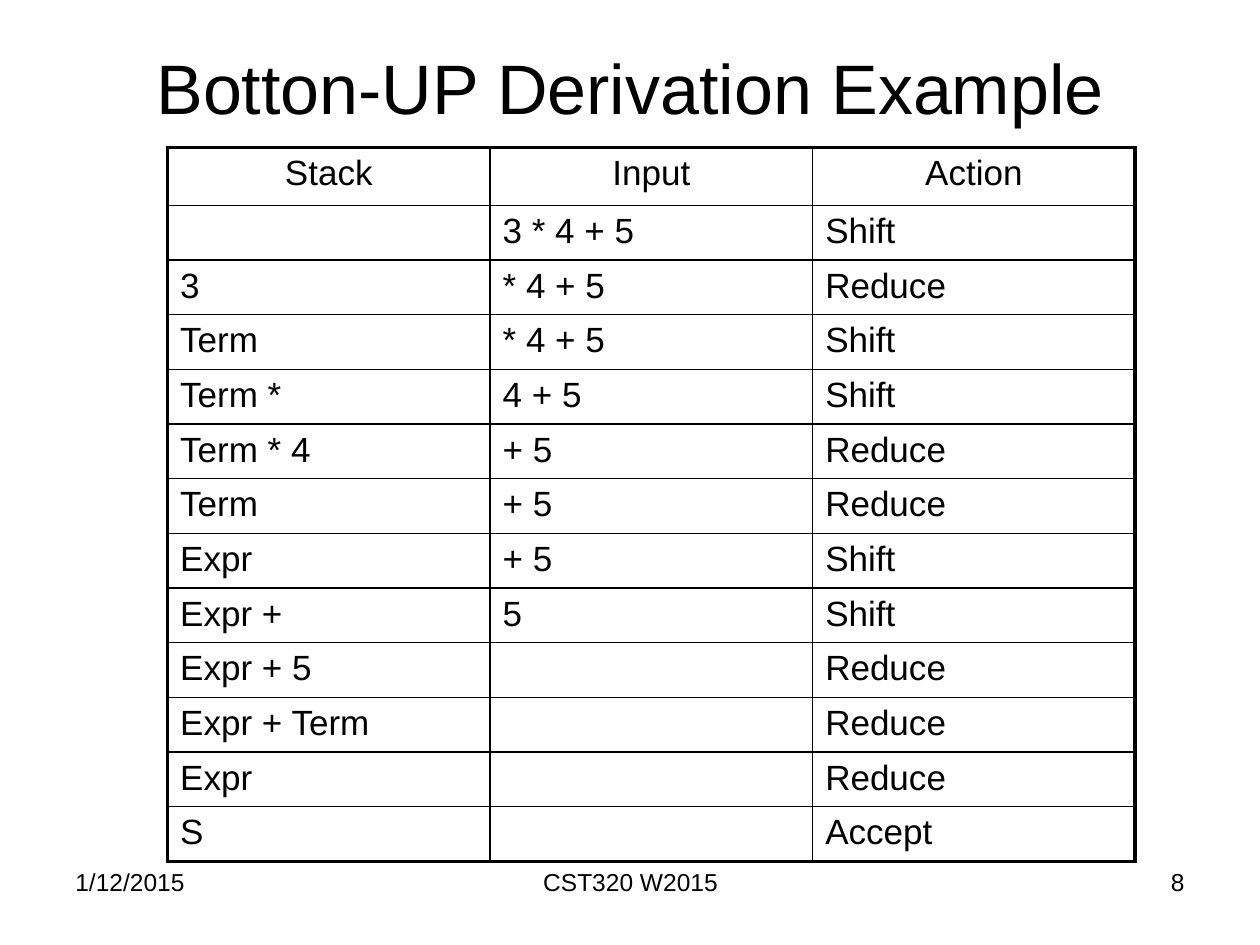
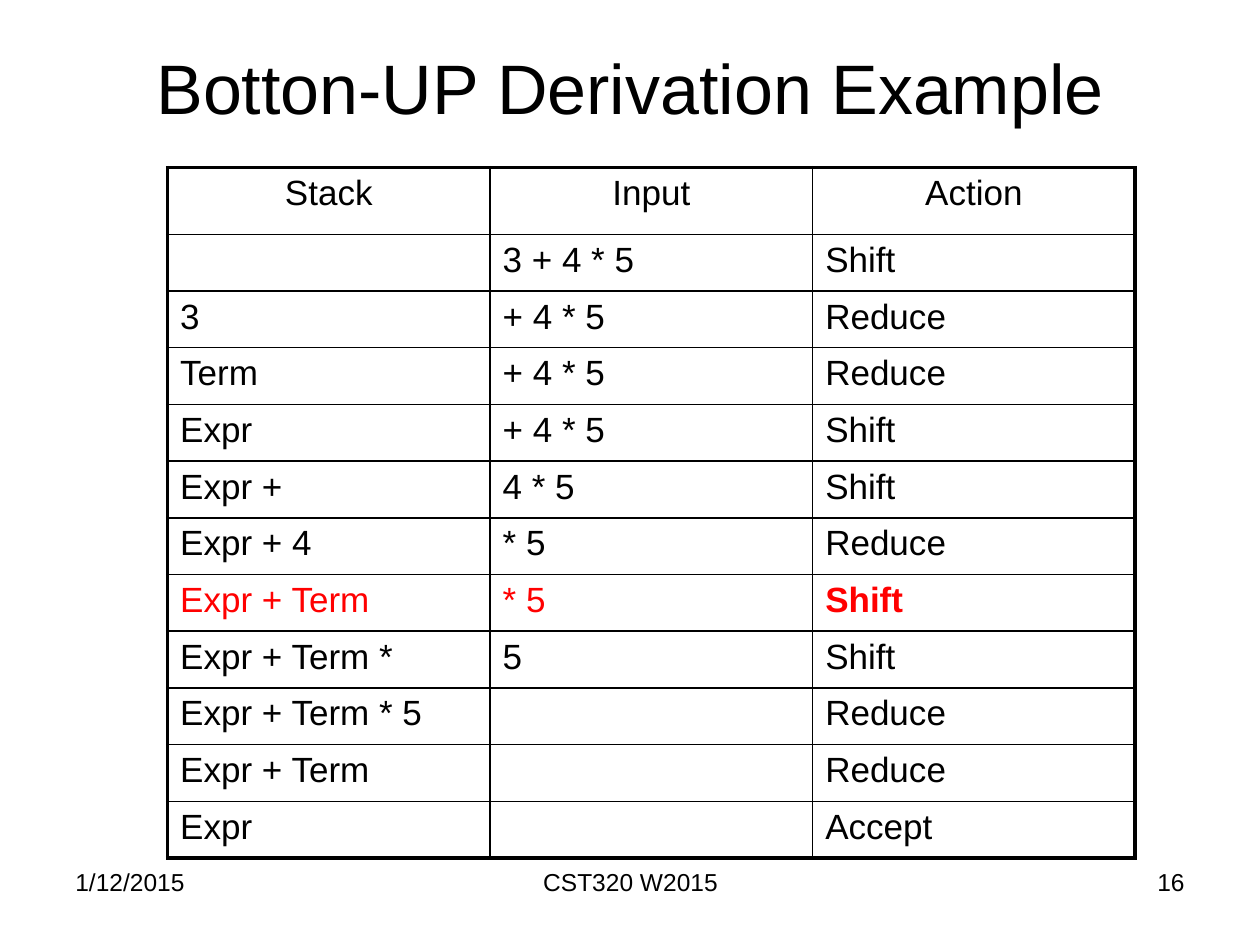
import pptx
import pptx.util
import pptx.dml.color
import pptx.enum.text
import pptx.oxml
import pptx.oxml.ns
from lxml import etree

Inches, Pt = pptx.util.Inches, pptx.util.Pt
ALIGN = pptx.enum.text.PP_ALIGN
ANCHOR = pptx.enum.text.MSO_ANCHOR

COLORS = {"ink": "000000", "alert": "FF0000"}
FONT = "Arial"
TITLE = "Botton-UP Derivation Example"
HEADINGS = ("Stack", "Input", "Action")
DATE, COURSE = "1/12/2015", "CST320 W2015"
TABLE_LEFT, COLUMN_WIDTH = 1.33, 2.56
THICK, THIN = 2.25, 1

DERIVATIONS = [
    {
        "number": "8", "top": 1.17, "heading_height": 0.46, "row_height": 0.41,
        "conflict": None,
        "steps": [
            ("", "3 * 4 + 5", "Shift"),
            ("3", "* 4 + 5", "Reduce"),
            ("Term", "* 4 + 5", "Shift"),
            ("Term *", "4 + 5", "Shift"),
            ("Term * 4", "+ 5", "Reduce"),
            ("Term", "+ 5", "Reduce"),
            ("Expr", "+ 5", "Shift"),
            ("Expr +", "5", "Shift"),
            ("Expr + 5", "", "Reduce"),
            ("Expr + Term", "", "Reduce"),
            ("Expr", "", "Reduce"),
            ("S", "", "Accept"),
        ],
    },
    {
        "number": "16", "top": 1.33, "heading_height": 0.53, "row_height": 0.45,
        "conflict": 7,
        "steps": [
            ("", "3 + 4 * 5", "Shift"),
            ("3", "+ 4 * 5", "Reduce"),
            ("Term", "+ 4 * 5", "Reduce"),
            ("Expr", "+ 4 * 5", "Shift"),
            ("Expr +", "4 * 5", "Shift"),
            ("Expr + 4", "* 5", "Reduce"),
            ("Expr + Term", "* 5", "Shift"),
            ("Expr + Term *", "5", "Shift"),
            ("Expr + Term * 5", "", "Reduce"),
            ("Expr + Term", "", "Reduce"),
            ("Expr", "", "Accept"),
        ],
    },
]


def write(frame, text, size, align, color="ink", bold=False):
    para = frame.paragraphs[0]
    para.alignment = align
    span = para.add_run()
    span.text = text
    for name, value in {"name": FONT, "size": Pt(size), "bold": bold}.items():
        setattr(span.font, name, value)
    span.font.color.rgb = pptx.dml.color.RGBColor.from_string(COLORS[color])
    return para


def add_title(page):
    title = page.shapes.title
    place = {"left": 0.5, "top": 0.3, "width": 9, "height": 0.78}
    for name, value in place.items():
        setattr(title, name, Inches(value))
    title.text_frame.vertical_anchor = ANCHOR.MIDDLE
    write(title.text_frame, TITLE, 40, ALIGN.CENTER)


def add_footers(page, number):
    footers = [
        (0.5, 2.33, DATE, ALIGN.LEFT),
        (3.42, 3.17, COURSE, ALIGN.CENTER),
        (7.17, 2.33, number, ALIGN.RIGHT),
    ]
    for left, width, text, align in footers:
        box = page.shapes.add_textbox(Inches(left), Inches(6.83), Inches(width), Inches(0.52))
        box.text_frame.word_wrap = True
        write(box.text_frame, text, 14, align)


def draw_borders(cell, outer):
    properties = cell._tc.get_or_add_tcPr()
    for side in "LRTB":
        width = Pt(THICK if side in outer else THIN)
        properties.append(pptx.oxml.parse_xml(
            f'<a:ln{side} {pptx.oxml.ns.nsdecls("a")} w="{width}"><a:solidFill>'
            f'<a:srgbClr val="{COLORS["ink"]}"/></a:solidFill></a:ln{side}>'))


def space_before(para, percent):
    properties = para._p.get_or_add_pPr()
    spacing = etree.SubElement(properties, pptx.oxml.ns.qn("a:spcBef"))
    etree.SubElement(spacing, pptx.oxml.ns.qn("a:spcPct")).set("val", str(percent * 1000))


def add_derivation(page, derivation):
    rows = [HEADINGS] + derivation["steps"]
    heights = [derivation["heading_height"]] + [derivation["row_height"]] * len(derivation["steps"])
    last_row, last_column = len(rows) - 1, len(HEADINGS) - 1
    table = page.shapes.add_table(
        len(rows), len(HEADINGS), Inches(TABLE_LEFT), Inches(derivation["top"]),
        Inches(COLUMN_WIDTH * len(HEADINGS)), Inches(sum(heights))).table
    for name in ("first_row", "horz_banding"):
        setattr(table, name, False)
    for column in table.columns:
        column.width = Inches(COLUMN_WIDTH)
    for r, texts in enumerate(rows):
        table.rows[r].height = Inches(heights[r])
        conflict = r == derivation["conflict"]
        for c, text in enumerate(texts):
            cell = table.cell(r, c)
            edges = {"L": c == 0, "R": c == last_column, "T": r == 0, "B": r == last_row}
            draw_borders(cell, [side for side, outer in edges.items() if outer])
            cell.fill.background()
            if text:
                para = write(cell.text_frame, text, 20, ALIGN.LEFT if r else ALIGN.CENTER,
                             "alert" if conflict else "ink", conflict and c == last_column)
                space_before(para, 20)


deck = pptx.Presentation()
deck.slide_width, deck.slide_height = Inches(10), Inches(7.5)
for derivation in DERIVATIONS:
    page = deck.slides.add_slide(deck.slide_layouts[5])
    add_footers(page, derivation["number"])
    add_title(page)
    add_derivation(page, derivation)
deck.save("out.pptx")
